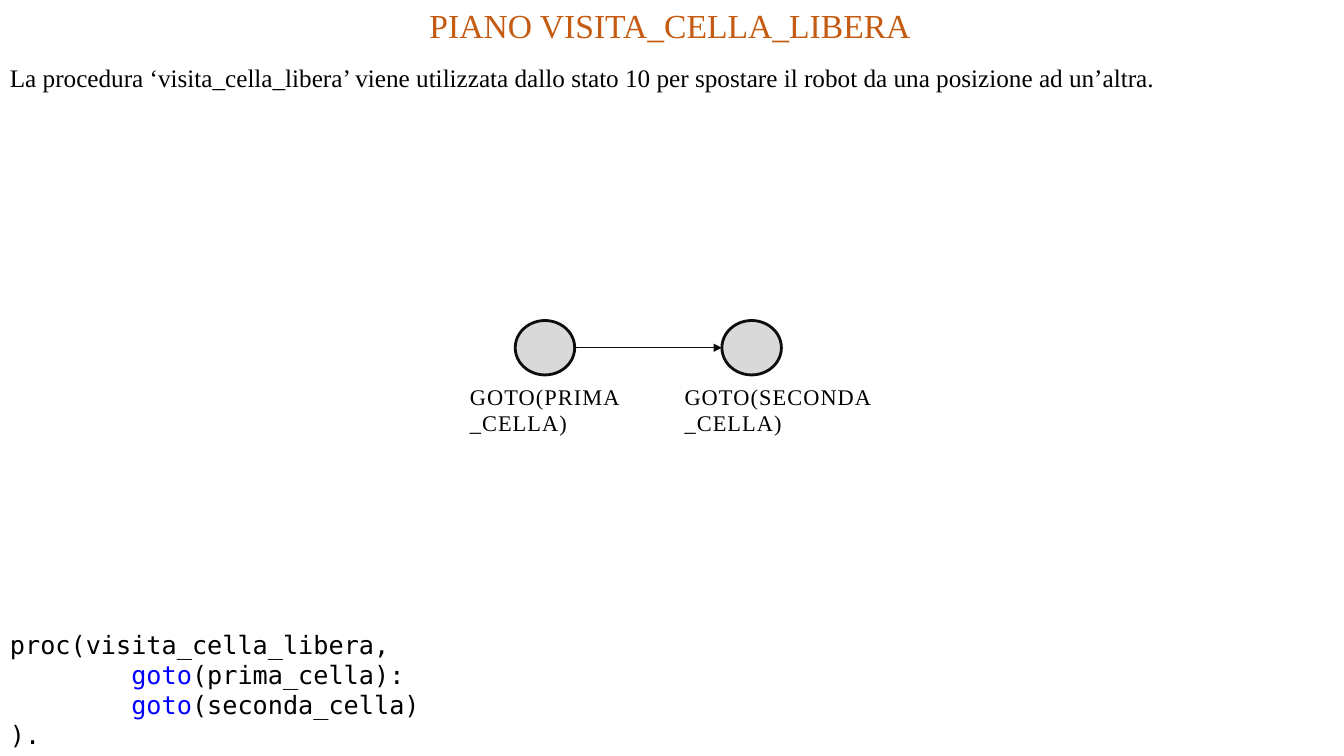
from lxml import etree
from pptx import Presentation
from pptx.dml.color import RGBColor
from pptx.enum.shapes import MSO_CONNECTOR, MSO_SHAPE
from pptx.enum.text import MSO_AUTO_SIZE, PP_ALIGN
from pptx.oxml.ns import qn
from pptx.util import Inches, Pt

SERIF = "Times New Roman"
MONO = "DejaVu Sans Mono"
BLACK = "000000"
OUTLINE = "0D0D0D"


def rgb(color):
    return RGBColor.from_string(color)


def add_text(shapes, box, lines, font, size, color=BLACK):
    tf = shapes.add_textbox(*[Inches(v) for v in box]).text_frame
    tf.word_wrap = True
    tf.auto_size = MSO_AUTO_SIZE.SHAPE_TO_FIT_TEXT
    for i, line in enumerate(lines):
        p = tf.add_paragraph() if i else tf.paragraphs[0]
        p.font.name = font
        p.font.size = Pt(size)
        p.font.color.rgb = rgb(color)
        for text, run_color in line:
            r = p.add_run()
            r.text = text
            r.font.name = font
            r.font.size = Pt(size)
            r.font.color.rgb = rgb(run_color or color)
    return tf


prs = Presentation()
prs.slide_width = Inches(13.33)
prs.slide_height = Inches(7.5)
s = prs.slides.add_slide(prs.slide_layouts[6])

title = add_text(s.shapes, (-0.05, 0, 13.39, 0.5),
                 [[("PIANO VISITA_CELLA_LIBERA", None)]], SERIF, 24, "C55A11")
title.paragraphs[0].alignment = PP_ALIGN.CENTER

code = [[("proc(visita_cella_libera,", None)]]
for argument in ("(prima_cella):", "(seconda_cella)"):
    code.append([("        ", None), ("goto", "0000FF"), (argument, None)])
code.append([(").", None)])
add_text(s.shapes, (0, 6.19, 6.69, 1.31), code, MONO, 18)

diagram = s.shapes.add_group_shape().shapes
states = [
    (5.11, 4.65, 1.61, "GOTO(PRIMA_CELLA)"),
    (7.16, 6.78, 1.94, "GOTO(SECONDA_CELLA)"),
]
for left, label_left, label_width, label in states:
    sp = diagram.add_shape(MSO_SHAPE.FLOWCHART_CONNECTOR, Inches(left), Inches(3.18),
                           Inches(0.59), Inches(0.54))
    sp.shadow.inherit = False
    sp.fill.solid()
    sp.fill.fore_color.rgb = rgb("D9D9D9")
    sp.line.color.rgb = rgb(OUTLINE)
    sp.line.width = Pt(2)

    tf = add_text(diagram, (label_left, 3.78, label_width, 0.54), [[(label, None)]], SERIF, 16)
    tf.margin_left = tf.margin_right = tf.margin_bottom = 0
    tf.margin_top = Inches(0.04)
    p = tf.paragraphs[0]
    p.line_spacing = 0.96
    p._p.get_or_add_pPr().set("marL", str(Inches(0.01)))
    p.runs[0].font._element.set("spc", "80")

arrow = diagram.add_connector(MSO_CONNECTOR.STRAIGHT, Inches(5.7), Inches(3.45),
                              Inches(7.16), Inches(3.45))
arrow.line.color.rgb = rgb(OUTLINE)
arrow.line.width = Pt(0.75)
etree.SubElement(arrow.line._get_or_add_ln(), qn("a:tailEnd"), type="triangle")
etree.SubElement(arrow._element.spPr, qn("a:effectLst"))

add_text(s.shapes, (0, 0.57, 13.33, 0.4),
         [[("La procedura ‘visita_cella_libera’ viene utilizzata dallo stato 10 per spostare "
            "il robot da una posizione ad un’altra.", None)]], SERIF, 18)

prs.save("out.pptx")
